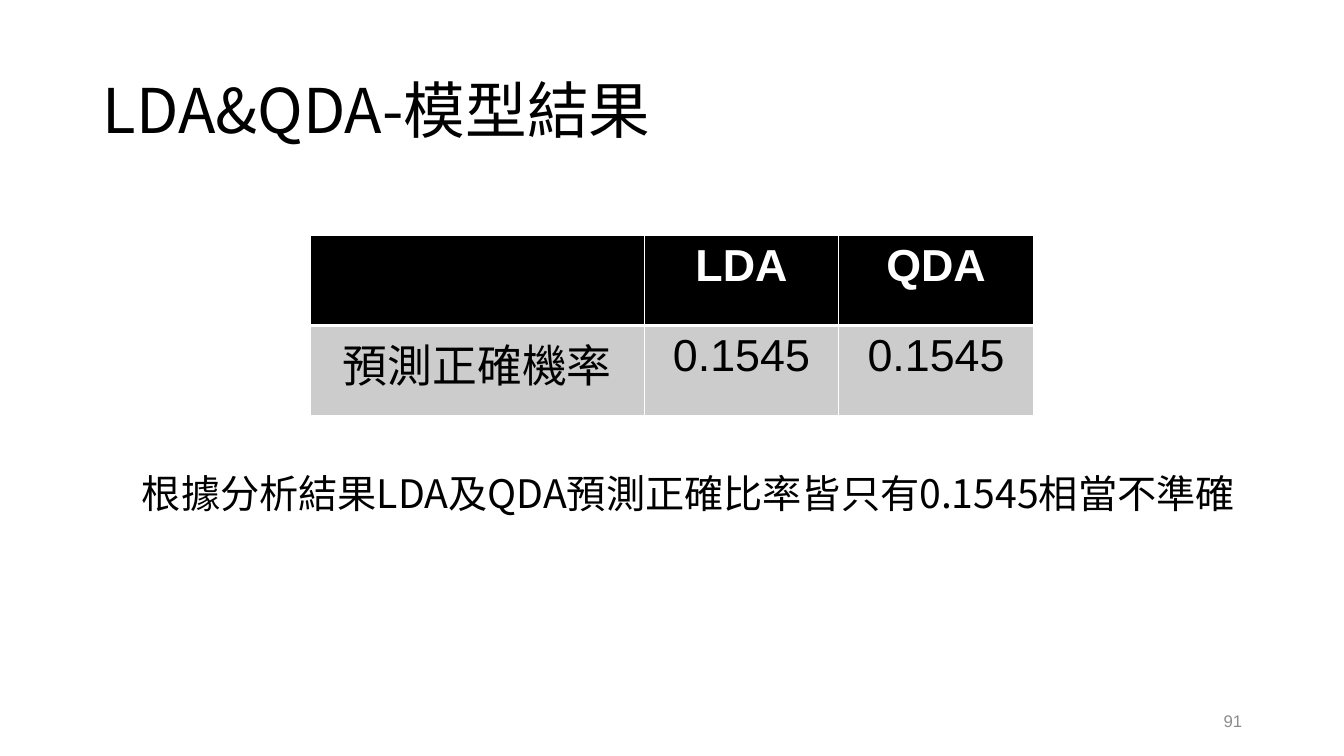
from dataclasses import dataclass

from lxml import etree
from pptx import Presentation
from pptx import util as u
from pptx.dml.color import RGBColor
from pptx.enum import text
from pptx.oxml import ns


@dataclass(frozen=True)
class Theme:
    latin: str = "Arial"
    cjk: str = "Noto Sans CJK SC"
    black: str = "000000"
    white: str = "FFFFFF"
    cell_grey: str = "CCCCCC"
    number_grey: str = "8C8C8C"
    title_size: int = 44
    table_size: int = 32
    body_size: int = 28
    number_size: int = 12
    thin: int = 1
    thick: int = 3


THEME = Theme()
RESULTS = [["", "LDA", "QDA"], ["預測正確機率", "0.1545", "0.1545"]]
COLUMN_WIDTHS = [3.31, 1.93, 1.93]
ROW_HEIGHT = 0.89


def add_run(paragraph, words, size, color, latin, bold=False):
    run = paragraph.add_run()
    run.text = words
    run.font.size = u.Pt(size)
    run.font.name = latin
    run.font.bold = bold
    run.font.color.rgb = RGBColor.from_string(color)
    east_asian = etree.SubElement(run._r.get_or_add_rPr(), ns.qn("a:ea"))
    east_asian.set("typeface", THEME.cjk)


def fill_title(slide, words):
    title = slide.shapes.title
    title.left, title.top = u.Inches(0.92), u.Inches(0.4)
    title.width, title.height = u.Inches(11.5), u.Inches(1.45)
    frame = title.text_frame
    frame.auto_size = text.MSO_AUTO_SIZE.NONE
    frame.vertical_anchor = text.MSO_ANCHOR.MIDDLE
    paragraph = frame.paragraphs[0]
    paragraph.alignment = text.PP_ALIGN.LEFT
    paragraph.line_spacing = 0.9
    add_run(paragraph, words, THEME.title_size, THEME.black, THEME.cjk)


def add_text(slide, box, words, size, color, latin,
             align=text.PP_ALIGN.LEFT, anchor=text.MSO_ANCHOR.TOP):
    shape = slide.shapes.add_textbox(*(u.Inches(length) for length in box))
    frame = shape.text_frame
    frame.word_wrap = True
    frame.vertical_anchor = anchor
    paragraph = frame.paragraphs[0]
    paragraph.alignment = align
    add_run(paragraph, words, size, color, latin)


def set_borders(cell, widths):
    # Border lines come before the fill in the cell properties
    properties = cell._tc.get_or_add_tcPr()
    for position, (side, width) in enumerate(widths.items()):
        line = etree.Element(ns.qn(f"a:ln{side}"), w=str(u.Pt(width)))
        fill = etree.SubElement(line, ns.qn("a:solidFill"))
        etree.SubElement(fill, ns.qn("a:srgbClr"), val=THEME.white)
        properties.insert(position, line)


def add_result_table(slide, left, top):
    frame = slide.shapes.add_table(
        len(RESULTS), len(COLUMN_WIDTHS), u.Inches(left), u.Inches(top),
        u.Inches(sum(COLUMN_WIDTHS)), u.Inches(ROW_HEIGHT * len(RESULTS)))
    table = frame.table
    for column, width in zip(table.columns, COLUMN_WIDTHS):
        column.width = u.Inches(width)
    for row_index, values in enumerate(RESULTS):
        header = row_index == 0
        table.rows[row_index].height = u.Inches(ROW_HEIGHT)
        for column_index, value in enumerate(values):
            cell = table.cell(row_index, column_index)
            cell.fill.solid()
            cell.fill.fore_color.rgb = RGBColor.from_string(
                THEME.black if header else THEME.cell_grey)
            set_borders(cell, {
                "L": THEME.thin, "R": THEME.thin,
                "T": THEME.thin if header else THEME.thick,
                "B": THEME.thick if header else THEME.thin})
            paragraph = cell.text_frame.paragraphs[0]
            paragraph.alignment = text.PP_ALIGN.CENTER
            if value:
                add_run(paragraph, value, THEME.table_size,
                        THEME.white if header else THEME.black,
                        THEME.latin, bold=header)


def main():
    presentation = Presentation()
    presentation.slide_width = u.Inches(13.33)
    presentation.slide_height = u.Inches(7.5)
    slide = presentation.slides.add_slide(presentation.slide_layouts[5])

    # Title
    fill_title(slide, "LDA&QDA-模型結果")

    # Conclusion and page number
    add_text(slide, (1.31, 4.61, 11.32, 0.57),
             "根據分析結果LDA及QDA預測正確比率皆只有0.1545相當不準確",
             THEME.body_size, THEME.black, THEME.cjk)
    add_text(slide, (9.42, 6.95, 3, 0.4), "91",
             THEME.number_size, THEME.number_grey, THEME.latin,
             text.PP_ALIGN.RIGHT, text.MSO_ANCHOR.MIDDLE)

    # Accuracy of both models
    add_result_table(slide, 3.08, 2.34)

    presentation.save("out.pptx")


if __name__ == "__main__":
    main()
